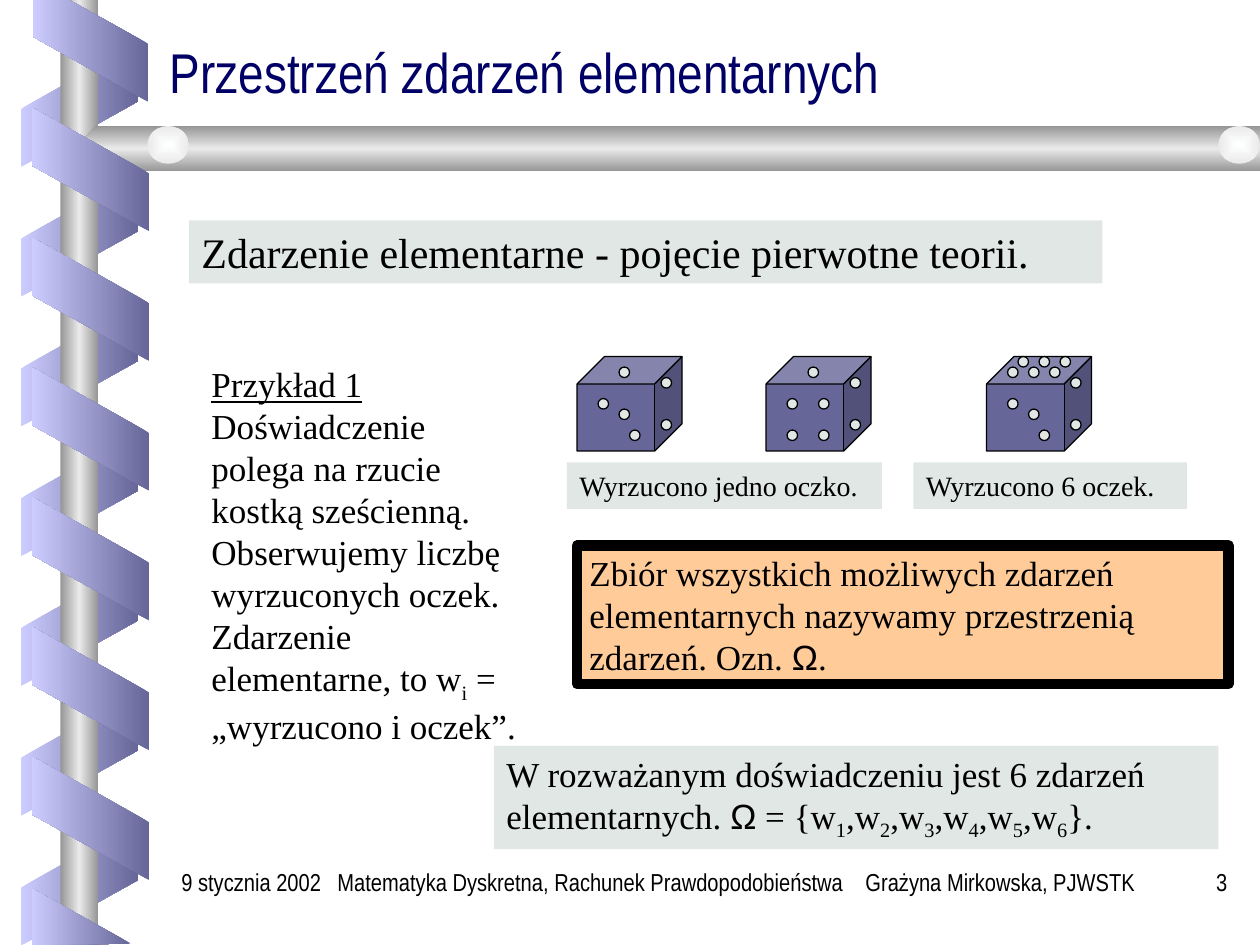
from dataclasses import dataclass

from lxml.etree import SubElement
from pptx import Presentation
from pptx.dml.color import RGBColor
from pptx.enum.shapes import MSO_SHAPE
from pptx.enum.text import MSO_ANCHOR, PP_ALIGN
from pptx.oxml.ns import qn
from pptx.util import Inches, Pt


@dataclass(frozen=True)
class Theme:
    serif: str = "Times New Roman"
    narrow: str = "Arial Narrow"
    symbol: str = "Arial"
    title_color: str = "000066"
    ink: str = "000000"
    panel: str = "E1E7E4"
    definition: str = "FFCC99"
    die: str = "666699"
    ribbon: tuple = ("666699", "CCCCFF")
    metal: tuple = ("969696", "EAEAEA", "969696")
    knob: tuple = ("FEFFFF", "EAEAEA")
    title_size: int = 32
    lead_size: int = 24
    body_size: int = 20
    caption_size: int = 16
    footer_size: int = 14


T = Theme()


def gradient(sp, colors, angle=None):
    """Fill with evenly spaced stops: linear at an angle, or from the centre if None."""
    sp.shadow.inherit = False
    sp.line.fill.background()
    sp.fill.background()
    sp_pr = sp.fill._xPr
    no_fill = sp_pr.find(qn("a:noFill"))
    grad = SubElement(sp_pr, qn("a:gradFill"), rotWithShape="0")
    sp_pr.replace(no_fill, grad)
    stops = SubElement(grad, qn("a:gsLst"))
    for i, color in enumerate(colors):
        stop = SubElement(stops, qn("a:gs"), pos=str(100000 * i // (len(colors) - 1)))
        SubElement(stop, qn("a:srgbClr"), val=color)
    if angle is None:
        center = SubElement(grad, qn("a:path"), path="rect")
        SubElement(center, qn("a:fillToRect"), l="50000", t="50000", r="50000", b="50000")
    else:
        SubElement(grad, qn("a:lin"), ang=str(angle * 60000), scaled="0")


def add_text(box, runs, size, font=T.serif, color=T.ink, fill=None, align=PP_ALIGN.LEFT):
    """Add a text box; each run is (text, style), style: "", "u", "sub" or "symbol"."""
    sp = s.shapes.add_textbox(*map(Inches, box))
    if fill:
        sp.fill.solid()
        sp.fill.fore_color.rgb = RGBColor.from_string(fill)
    tf = sp.text_frame
    tf.word_wrap = True
    p = tf.paragraphs[0]
    p.alignment = align
    for text, style in runs:
        r = p.add_run()
        r.text = text
        r.font.size = Pt(size)
        r.font.name = T.symbol if style == "symbol" else font
        r.font.color.rgb = RGBColor.from_string(color)
        if style == "u":
            r.font.underline = True
        if style == "sub":
            r.font._element.set("baseline", "-25000")
    return sp


prs = Presentation()
prs.slide_width, prs.slide_height = Inches(10), Inches(7.5)
s = prs.slides.add_slide(prs.slide_layouts[6])

# Spiral ribbon around the metal bars: back turns, bars, front turns
turns = [(0.14, 0.37 + 1.03 * i, 90) for i in range(7)]
turns += [(0.23, 0.88 + 1.03 * i, 270) for i in range(6)]
bar_outline = [(10, 1), (0.76, 1), (0.6, 1.18), (0.76, 1.36), (10, 1.36)]
ribbon_ends = [
    [(0.26, 0), (0.26, 0.29), (1.18, 0.81), (1.18, 0.35), (0.55, 0)],
    [(1.04, 7.49), (0.25, 7.05), (0.25, 7.5)],
]
outlines = [(bar_outline, T.metal, 90)] + [(end, T.ribbon, 180) for end in ribbon_ends]

freeforms = []
for points, colors, angle in outlines:
    corners = [(Inches(x), Inches(y)) for x, y in points]
    builder = s.shapes.build_freeform(*corners[0])
    builder.add_line_segments(corners[1:], close=True)
    sp = builder.convert_to_shape()
    gradient(sp, colors, angle)
    freeforms.append(sp)
bar, *ends = freeforms

for i, (x, y, rotation) in enumerate(turns):
    if i == 7:
        post = s.shapes.add_shape(MSO_SHAPE.RECTANGLE, Inches(0.48), 0, Inches(0.3), Inches(7.5))
        gradient(post, T.metal, 180)
        s.shapes._spTree.append(bar._element)
        for knob_x in (1.17, 9.67):
            knob = s.shapes.add_shape(MSO_SHAPE.OVAL, Inches(knob_x), Inches(1),
                                      Inches(0.33), Inches(0.3))
            gradient(knob, T.knob)
    turn = s.shapes.add_shape(MSO_SHAPE.PARALLELOGRAM, Inches(x), Inches(y),
                              Inches(0.98), Inches(0.93))
    turn.adjustments[0] = 0.56
    turn.rotation = rotation
    if rotation == 90:
        turn._element.spPr.xfrm.set("flipH", "1")
        gradient(turn, T.ribbon[::-1], 180)
    else:
        gradient(turn, T.ribbon, 180)
for end in ends:
    s.shapes._spTree.append(end._element)

# Title and lead sentence
title = add_text((1.25, 0.25, 8.5, 0.63), [("Przestrzeń zdarzeń elementarnych", "")],
                 T.title_size, T.narrow, T.title_color)
title.text_frame.vertical_anchor = MSO_ANCHOR.BOTTOM
title.text_frame.paragraphs[0].line_spacing = 0.8

add_text((1.5, 1.75, 7.25, 0.5), [("Zdarzenie elementarne - pojęcie pierwotne teorii.", "")],
         T.lead_size, fill=T.panel)

add_text((1.58, 2.83, 2.67, 3.15), [
    ("Przykład 1", "u"),
    (" Doświadczenie polega na rzucie kostką sześcienną. Obserwujemy liczbę "
     "wyrzuconych oczek. Zdarzenie elementarne, to w", ""),
    ("i", "sub"),
    (" = „wyrzucono i oczek”.", ""),
], T.body_size)

# Dice: pips sit on a grid of twelfths of an inch
unit = 1 / 12
side_pips = [(8, 2), (8, 6)]
diagonal = [(2, 4), (4, 5), (5, 7)]
four = [(2, 4), (5, 4), (2, 7), (5, 7)]
six = [(3, 0), (5, 0), (7, 0), (2, 1), (4, 1), (6, 1)]
dice = [(4.58, [(4, 1)] + diagonal), (6.08, [(4, 1)] + four), (7.83, six + diagonal)]
for die_x, pips in dice:
    parts = [(MSO_SHAPE.CUBE, 0, 0, 10, 9, T.die)]
    parts += [(MSO_SHAPE.OVAL, col, row, 1, 1, T.panel) for col, row in pips + side_pips]
    for kind, col, row, w, h, color in parts:
        sp = s.shapes.add_shape(kind, Inches(die_x + col * unit), Inches(2.83 + row * unit),
                                Inches(w * unit), Inches(h * unit))
        sp.shadow.inherit = False
        sp.fill.solid()
        sp.fill.fore_color.rgb = RGBColor.from_string(color)
        sp.line.color.rgb = RGBColor.from_string(T.ink)
        sp.line.width = Pt(0.75)
        if kind == MSO_SHAPE.CUBE:
            sp.adjustments[0] = 0.29

for x, width, caption in [(4.5, 2.5, "Wyrzucono jedno oczko."), (7.25, 2.17, "Wyrzucono 6 oczek.")]:
    add_text((x, 3.67, width, 0.37), [(caption, "")], T.caption_size, fill=T.panel)

# Definition and conclusion
definition = add_text((4.58, 4.33, 5.17, 1.1), [
    ("Zbiór wszystkich możliwych zdarzeń elementarnych nazywamy przestrzenią zdarzeń. Ozn. ", ""),
    ("Ω", "symbol"),
    (".", ""),
], T.body_size, fill=T.definition)
definition.line.color.rgb = RGBColor.from_string(T.ink)
definition.line.width = Pt(6)

events = [("W rozważanym doświadczeniu jest 6 zdarzeń elementarnych. ", ""),
          ("Ω", "symbol"), (" = {w", "")]
for i in range(1, 7):
    events += [(str(i), "sub"), (",w" if i < 6 else "}.", "")]
add_text((3.92, 5.92, 5.75, 0.82), events, T.body_size, fill=T.panel)

# Footer
footer = add_text((2.58, 6.83, 6.58, 0.5), [
    ("Matematyka Dyskretna, Rachunek Prawdopodobieństwa", ""),
    ("\tGrażyna Mirkowska, PJWSTK", ""),
], T.footer_size, T.narrow)
tabs = SubElement(footer.text_frame.paragraphs[0]._p.get_or_add_pPr(), qn("a:tabLst"))
SubElement(tabs, qn("a:tab"), pos=str(Inches(4.19)), algn="l")
add_text((9, 6.83, 0.84, 0.5), [("3", "")], T.footer_size, T.narrow, align=PP_ALIGN.RIGHT)
add_text((1.34, 6.83, 1.41, 0.5), [("9 stycznia 2002", "")], T.footer_size, T.narrow)

prs.save("out.pptx")
